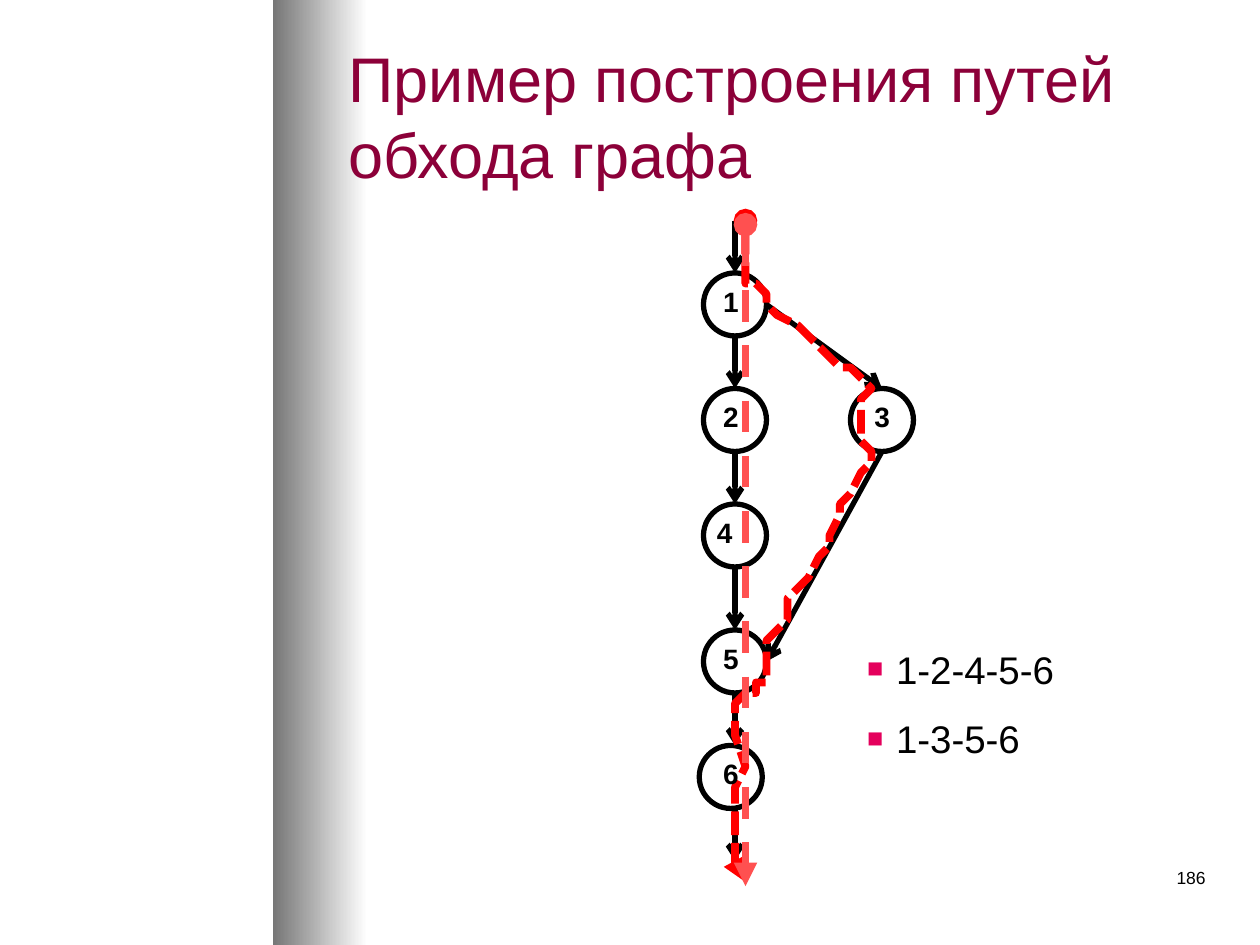
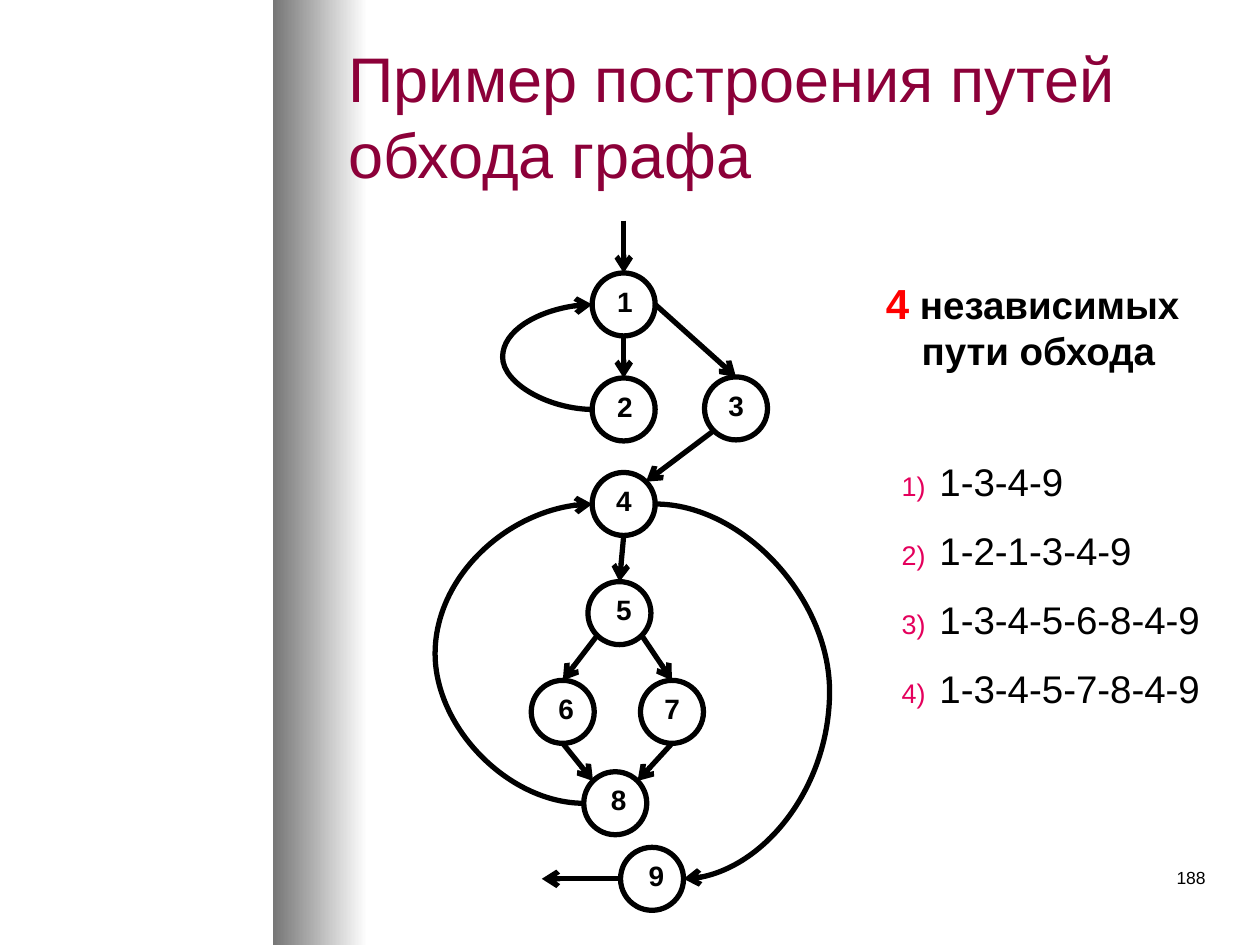
from collections import namedtuple
from math import cos, radians, sin

from lxml import etree
from pptx import Presentation
from pptx import util as u
from pptx.dml.color import RGBColor
from pptx.enum import dml, shapes, text
from pptx.oxml.ns import qn

COLUMNS, ROWS = 120, 90
NODE = 6
TOP, UPPER_LEFT, LEFT, LOWER_LEFT, BOTTOM, LOWER_RIGHT, RIGHT, UPPER_RIGHT = range(8)
JUSTIFY = text.PP_ALIGN.JUSTIFY
TITLE = "Пример построения путей обхода графа"

End = namedtuple("End", "col row node site", defaults=(None, None))


def color(value):
    return RGBColor.from_string(value)


def add_xml(parent, tag, **attributes):
    return etree.SubElement(parent, qn(tag), attributes)


class Deck:
    font = "Arial"
    ink = "000000"
    title_color = "8C0039"
    bullet_color = "E4005C"
    red = "FF0000"
    coral = "FF5050"

    def __init__(self):
        self.deck = Presentation()
        self.deck.slide_width = u.Inches(10)
        self.deck.slide_height = u.Inches(7.5)
        self.cell = self.deck.slide_width / COLUMNS
        self.page = None

    def grid(self, *cells):
        return [round(cell * self.cell) for cell in cells]

    def new_page(self, number):
        self.page = self.deck.slides.add_slide(self.deck.slide_layouts[5])
        self.band()
        title = self.page.shapes.title
        title.left, title.top, title.width, title.height = self.grid(32, 3, 84, 16)
        title.text_frame.vertical_anchor = text.MSO_ANCHOR.MIDDLE
        title.text_frame.auto_size = text.MSO_AUTO_SIZE.NONE
        self.set_text(title, [TITLE], 36, self.title_color, align=text.PP_ALIGN.LEFT)
        self.text_box((91, 82, 25, 6), [number], 10, align=text.PP_ALIGN.RIGHT)

    def band(self):
        band = self.page.shapes.add_shape(
            shapes.MSO_SHAPE.RECTANGLE, *self.grid(26, 0, 9, ROWS))
        band.shadow.inherit = False
        band.line.fill.background()
        band.fill.gradient()
        band.fill.gradient_angle = 0
        for stop, value in zip(band.fill.gradient_stops, ("767676", "FFFFFF")):
            stop.color.rgb = color(value)
        self.page.shapes.title.element.addprevious(band.element)

    def set_text(self, box, lines, size, value=ink, bold=False, align=JUSTIFY,
                 spacing=None, before=0):
        frame = box.text_frame
        for index, line in enumerate(lines):
            para = frame.add_paragraph() if index else frame.paragraphs[0]
            for part in (line if isinstance(line, tuple) else (line,)):
                para.add_run().text = part
            para.alignment = align
            para.line_spacing = spacing
            para.space_before = u.Pt(before)
            para.font.name = self.font
            para.font.size = u.Pt(size)
            para.font.bold = bold
            para.font.color.rgb = color(value)

    def text_box(self, place, lines, size, wrap=True, **style):
        box = self.page.shapes.add_textbox(*self.grid(*place))
        box.text_frame.word_wrap = wrap
        self.set_text(box, lines, size, **style)
        return box

    def label(self, name, col, row, shift):
        self.text_box((col + shift, row + 1.1, 3.8, 3.8), [name], 16, wrap=False,
                      bold=True, spacing=0.8, before=3.2)

    def bullets(self, place, lines, indent, tag, **kind):
        box = self.text_box(place, lines, 22, spacing=1.5)
        width = u.Inches(indent)
        for para in box.text_frame.paragraphs:
            properties = para._p.get_or_add_pPr()
            properties.set("marL", str(width))
            properties.set("indent", str(-width))
            marks = [etree.Element(qn(name)) for name in ("a:buClr", "a:buSzPct", "a:buFont")]
            add_xml(marks[0], "a:srgbClr", val=self.bullet_color)
            marks[1].set("val", "70000")
            marks[2].set("typeface", self.font)
            marks.append(etree.Element(qn(tag), kind))
            defaults = properties.find(qn("a:defRPr"))
            for mark in marks:
                defaults.addprevious(mark)

    def node(self, col, row):
        node = self.page.shapes.add_shape(
            shapes.MSO_SHAPE.FLOWCHART_CONNECTOR, *self.grid(col, row, NODE, NODE))
        node.shadow.inherit = False
        node.fill.background()
        self.stroke(node)
        return node

    def nodes(self, places):
        return {name: self.node(col, row) for name, (col, row, _) in places.items()}

    def labels(self, places):
        for name, place in places.items():
            self.label(name, *place)

    def side(self, node, site):
        angle = radians(90 + 45 * site)
        col, row = node.left / self.cell, node.top / self.cell
        radius = NODE / 2
        return End(col + radius + radius * cos(angle),
                   row + radius - radius * sin(angle), node, site)

    def stroke(self, item, value=ink, width=3, dash=None, head=None, tail=None):
        item.line.color.rgb = color(value)
        item.line.width = u.Pt(width)
        if dash:
            item.line.dash_style = dash
        outline = item.element.spPr.find(qn("a:ln"))
        for tag, kind in (("a:headEnd", head), ("a:tailEnd", tail)):
            if kind:
                add_xml(outline, tag, type=kind)

    def connector(self, kind, start, end, **style):
        line = self.page.shapes.add_connector(
            kind, *self.grid(start.col, start.row, end.col, end.row))
        self.stroke(line, **{"tail": "arrow", **style})
        add_xml(line.element.spPr, "a:effectLst")
        return line

    def arrow(self, start, end, **style):
        line = self.connector(shapes.MSO_CONNECTOR.STRAIGHT, start, end, **style)
        joints = line.element.find(".//" + qn("p:cNvCxnSpPr"))
        for tag, tip in (("a:stCxn", start), ("a:endCxn", end)):
            if tip.node is not None:
                add_xml(joints, tag, id=str(tip.node.shape_id), idx=str(tip.site))

    def edges(self, nodes, links):
        for first, first_site, second, second_site in links:
            self.arrow(self.side(nodes[first], first_site),
                       self.side(nodes[second], second_site))

    def curve(self, start, end, bend):
        line = self.connector(shapes.MSO_CONNECTOR.CURVE, start, end)
        share = (bend - start.col) / (end.col - start.col)
        guides = line.element.spPr.find(qn("a:prstGeom")).find(qn("a:avLst"))
        add_xml(guides, "a:gd", name="adj1", fmla=f"val {round(share * 100000)}")
        if end.row < start.row:
            frame = line.element.spPr.find(qn("a:xfrm"))
            frame.set("rot", "10800000")
            frame.set("flipV", "0")
            frame.set("flipH", "1" if end.col > start.col else "0")

    def route(self, points, **style):
        builder = self.page.shapes.build_freeform(*points[0], scale=self.cell)
        builder.add_line_segments(points[1:], close=False)
        route = builder.convert_to_shape()
        route.shadow.inherit = False
        route.fill.background()
        self.stroke(route, **style)


ROUTE = [
    (70.7, 21.4), (71, 25.4), (71.4, 26.8), (72, 27.2), (72.6, 28.3), (73.3, 29.3),
    (73.9, 30.4), (75.6, 31.3), (76.7, 32), (77.8, 32.6), (78.6, 33.6), (80.3, 34.9),
    (81.4, 35.4), (82.3, 36.4), (82.7, 37), (82.4, 37.9), (82.1, 38.4), (82, 39),
    (82.3, 41.8), (83, 43), (83.3, 43.4), (83, 44.4), (82.3, 45), (81, 47.3),
    (80.3, 48.4), (79.7, 49.4), (79.3, 50.6), (78.7, 51.7), (78, 52.9), (76.7, 55.1),
    (76.1, 56.3), (75.4, 57.4), (74.8, 58.6), (73.9, 60.2), (73.3, 61.3), (72.7, 63),
    (72.6, 64.7), (72.4, 65.3), (71.8, 65.6), (71.4, 66.2), (70.3, 66.7), (70, 67.6),
    (70.3, 68.4), (70.3, 70), (70.7, 73.3), (70.4, 75.4), (70, 77), (70.1, 81.6),
    (70.4, 82.7), (70.7, 83.6),
]


def branch_page(deck):
    deck.new_page("186")
    places = {"1": (67, 26, 0.7), "2": (67, 37, 0.7), "4": (67, 48, 0.1),
              "5": (67, 60, 0.7), "6": (66.6, 71, 1.1), "3": (81, 37, 1.1)}
    nodes = deck.nodes(places)
    deck.edges(nodes, [
        ("1", BOTTOM, "2", TOP), ("2", BOTTOM, "4", TOP), ("4", BOTTOM, "5", TOP),
        ("1", RIGHT, "3", TOP), ("3", BOTTOM, "5", RIGHT)])
    deck.arrow(deck.side(nodes["5"], BOTTOM), End(70, 71))
    deck.arrow(End(70, 77), End(70, 82))
    deck.arrow(End(70, 21), deck.side(nodes["1"], TOP))
    marks = {"width": 4.5, "head": "oval", "tail": "triangle"}
    deck.route(ROUTE, value=deck.red, dash=dml.MSO_LINE.SQUARE_DOT, **marks)
    deck.arrow(End(71, 21.4), End(71, 84.4), value=deck.coral,
               dash=dml.MSO_LINE.DASH, **marks)
    deck.labels(places)
    deck.bullets((81.4, 58.7, 32.8, 14.5), ["1-2-4-5-6", "1-3-5-6"],
                 0.23, "a:buChar", char="■")


def loop_page(deck):
    deck.new_page("188")
    places = {"1": (56.4, 26, 1.2), "2": (56.4, 36, 1.2), "3": (67.1, 35.9, 1.1),
              "4": (56.4, 45, 1.1), "5": (56, 55.4, 1.5), "6": (50.6, 64.8, 1.4),
              "7": (61, 64.8, 1.1), "8": (55.6, 73.5, 1.4), "9": (59.1, 80.7, 1.5)}
    nodes = deck.nodes(places)
    deck.edges(nodes, [
        ("1", BOTTOM, "2", TOP), ("1", RIGHT, "3", TOP),
        ("3", LOWER_LEFT, "4", UPPER_RIGHT), ("4", BOTTOM, "5", TOP),
        ("5", LOWER_LEFT, "6", TOP), ("5", LOWER_RIGHT, "7", TOP),
        ("6", BOTTOM, "8", UPPER_LEFT), ("7", BOTTOM, "8", UPPER_RIGHT)])
    deck.arrow(End(59.4, 21), deck.side(nodes["1"], TOP))
    deck.arrow(deck.side(nodes["9"], LEFT), End(51.6, 83.7))
    deck.curve(End(56.6, 39), deck.side(nodes["1"], LEFT), 47.8)
    deck.curve(deck.side(nodes["8"], LEFT), deck.side(nodes["4"], LEFT), 41.4)
    deck.curve(deck.side(nodes["4"], RIGHT), deck.side(nodes["9"], RIGHT), 79)
    deck.labels(places)
    heading = deck.text_box((83.2, 26.8, 31.4, 9.5),
                            [("4", " независимых"), "пути обхода"], 22,
                            bold=True, spacing=0.8, before=4.4)
    first, second = heading.text_frame.paragraphs
    second.alignment = text.PP_ALIGN.CENTER
    count = first.runs[0].font
    count.size = u.Pt(24)
    count.color.rgb = color(deck.red)
    deck.bullets((84.7, 40.8, 35.3, 27.8),
                 ["1-3-4-9", "1-2-1-3-4-9", "1-3-4-5-6-8-4-9", "1-3-4-5-7-8-4-9"],
                 0.3, "a:buAutoNum", type="arabicParenR")


def main():
    deck = Deck()
    branch_page(deck)
    loop_page(deck)
    deck.deck.save("out.pptx")


if __name__ == "__main__":
    main()
